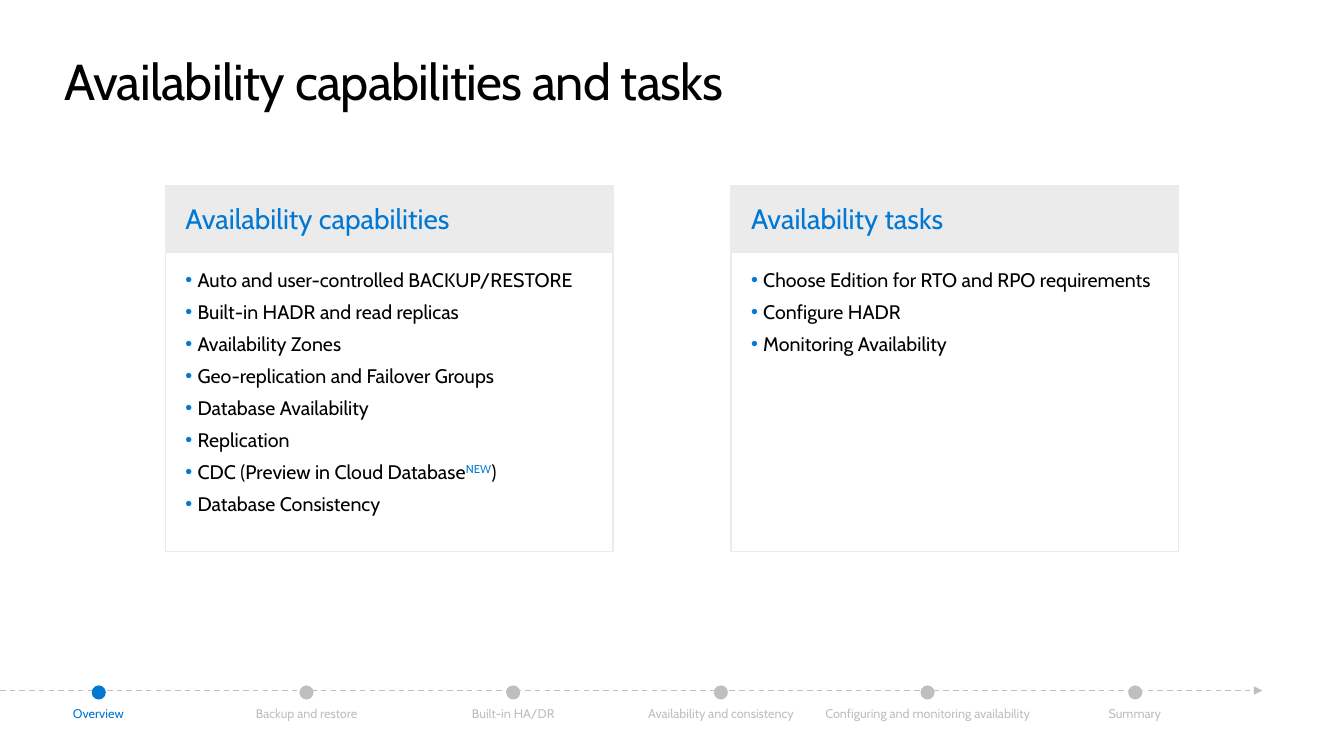
"""Build the availability capabilities and tasks slide with its progress timeline."""
import pptx
import pptx.util
import pptx.dml.color
import pptx.enum.dml
import pptx.enum.shapes
import pptx.enum.text
import pptx.oxml.ns
import lxml.etree

PX = 9144
ALIGN = pptx.enum.text.PP_ALIGN
ANCHOR = pptx.enum.text.MSO_ANCHOR
SHAPES = pptx.enum.shapes.MSO_SHAPE
qn = pptx.oxml.ns.qn

THEME = {
    "font": "Cabin",
    "black": pptx.dml.color.RGBColor.from_string("000000"),
    "white": pptx.dml.color.RGBColor.from_string("FFFFFF"),
    "accent": pptx.dml.color.RGBColor.from_string("0078D4"),
    "panel": pptx.dml.color.RGBColor.from_string("EBEBEB"),
    "muted": pptx.dml.color.RGBColor.from_string("BFBFBF"),
    "title": 36, "heading": 20, "body": 14, "label": 9,
}


def set_frame(text_frame, anchor, margin_x=0, margin_y=0, wrap=True):
    """Set the margins, anchor and wrapping of a text frame."""
    values = {
        "margin_left": margin_x * PX, "margin_right": margin_x * PX,
        "margin_top": margin_y * PX, "margin_bottom": margin_y * PX,
        "vertical_anchor": anchor, "word_wrap": wrap,
        "auto_size": pptx.enum.text.MSO_AUTO_SIZE.NONE,
    }
    for name, value in values.items():
        setattr(text_frame, name, value)


def add_run(paragraph, text, size, color, align=ALIGN.LEFT):
    """Add one formatted run to an aligned paragraph."""
    paragraph.alignment = align
    run = paragraph.add_run()
    run.text = text
    for name, value in {"name": THEME["font"], "size": pptx.util.Pt(THEME[size]), "bold": False}.items():
        setattr(run.font, name, value)
    run.font.color.rgb = THEME[color]
    return run


presentation = pptx.Presentation()
presentation.slide_width = 1333 * PX
presentation.slide_height = 750 * PX
slide = presentation.slides.add_slide(presentation.slide_layouts[5])

title = slide.shapes.title
for name, value in {"left": 64, "top": 50, "width": 1205, "height": 61}.items():
    setattr(title, name, value * PX)
set_frame(title.text_frame, ANCHOR.TOP)
title_run = add_run(title.text_frame.paragraphs[0], "Availability capabilities and tasks", "title", "black")
title_run.font._element.set("spc", "-50")

CARD_TOP, CARD_WIDTH, HEADING_HEIGHT, BODY_HEIGHT = 184, 444, 66, 297
INDENT = 12
NEW_BADGE = "NEW"
cards = [
    (164, "Availability capabilities", [
        ["Auto and user-controlled BACKUP/RESTORE"],
        ["Built-in HADR and read replicas"],
        ["Availability Zones"],
        ["Geo-replication and Failover Groups"],
        ["Database Availability"],
        ["Replication"],
        ["CDC (Preview in Cloud Database", NEW_BADGE, ")"],
        ["Database Consistency"],
    ]),
    (725, "Availability tasks", [
        ["Choose Edition for RTO and RPO requirements"],
        ["Configure HADR"],
        ["Monitoring Availability"],
    ]),
]

for left, heading, bullets in cards:
    frames = []
    for top, height, fill, anchor in [
        (CARD_TOP, HEADING_HEIGHT, "panel", ANCHOR.MIDDLE),
        (CARD_TOP + HEADING_HEIGHT, BODY_HEIGHT, "white", ANCHOR.TOP),
    ]:
        shape = slide.shapes.add_shape(SHAPES.RECTANGLE, left * PX, top * PX, CARD_WIDTH * PX, height * PX)
        shape.shadow.inherit = False
        shape.fill.solid()
        shape.fill.fore_color.rgb = THEME[fill]
        shape.line.color.rgb = THEME["panel"]
        shape.line.width = pptx.util.Pt(1)
        set_frame(shape.text_frame, anchor, 20, 16)
        frames.append(shape.text_frame)
    heading_frame, body_frame = frames
    add_run(heading_frame.paragraphs[0], heading, "heading", "accent")

    for index, parts in enumerate(bullets):
        paragraph = body_frame.add_paragraph() if index else body_frame.paragraphs[0]
        paragraph.space_after = pptx.util.Pt(6)
        properties = paragraph._p.get_or_add_pPr()
        properties.set("marL", str(INDENT * PX))
        properties.set("indent", str(-INDENT * PX))
        bullet_color = lxml.etree.SubElement(properties, qn("a:buClr"))
        lxml.etree.SubElement(bullet_color, qn("a:srgbClr")).set("val", str(THEME["accent"]))
        lxml.etree.SubElement(properties, qn("a:buFont")).set("typeface", "Arial")
        lxml.etree.SubElement(properties, qn("a:buChar")).set("char", "•")
        for part in parts:
            is_badge = part == NEW_BADGE
            run = add_run(paragraph, part, "body", "accent" if is_badge else "black")
            if is_badge:
                run.font._element.set("baseline", "30000")

TIMELINE_Y, DOT_TOP, DOT_SIZE, FIRST_DOT, DOT_STEP = 685, 680, 14, 91, 205.6
LABEL_TOP, LABEL_HEIGHT = 700, 15
timeline = slide.shapes.add_connector(
    pptx.enum.shapes.MSO_CONNECTOR.STRAIGHT, 0, TIMELINE_Y * PX, 1252 * PX, TIMELINE_Y * PX)
timeline.line.color.rgb = THEME["muted"]
timeline.line.width = pptx.util.Pt(1)
timeline.line.dash_style = pptx.enum.dml.MSO_LINE.DASH
lxml.etree.SubElement(timeline.line._get_or_add_ln(), qn("a:tailEnd")).set("type", "triangle")
lxml.etree.SubElement(timeline._element.spPr, qn("a:effectLst"))

steps = [
    ("Overview", 51),
    ("Backup and restore", 182),
    ("Built-in HA/DR", 150),
    ("Availability and consistency", 158),
    ("Configuring and monitoring availability", 232),
    ("Summary", 157),
]
for index, (label, width) in enumerate(steps):
    color = "muted" if index else "accent"
    dot_left = round(FIRST_DOT + index * DOT_STEP)
    dot = slide.shapes.add_shape(SHAPES.OVAL, dot_left * PX, DOT_TOP * PX, DOT_SIZE * PX, DOT_SIZE * PX)
    dot.shadow.inherit = False
    dot.fill.solid()
    dot.fill.fore_color.rgb = THEME[color]
    dot.line.fill.background()
    label_left = dot_left + (DOT_SIZE - width) // 2
    box = slide.shapes.add_textbox(label_left * PX, LABEL_TOP * PX, width * PX, LABEL_HEIGHT * PX)
    set_frame(box.text_frame, ANCHOR.TOP, wrap=index > 0)
    add_run(box.text_frame.paragraphs[0], label, "label", color, ALIGN.CENTER)

presentation.save("out.pptx")
